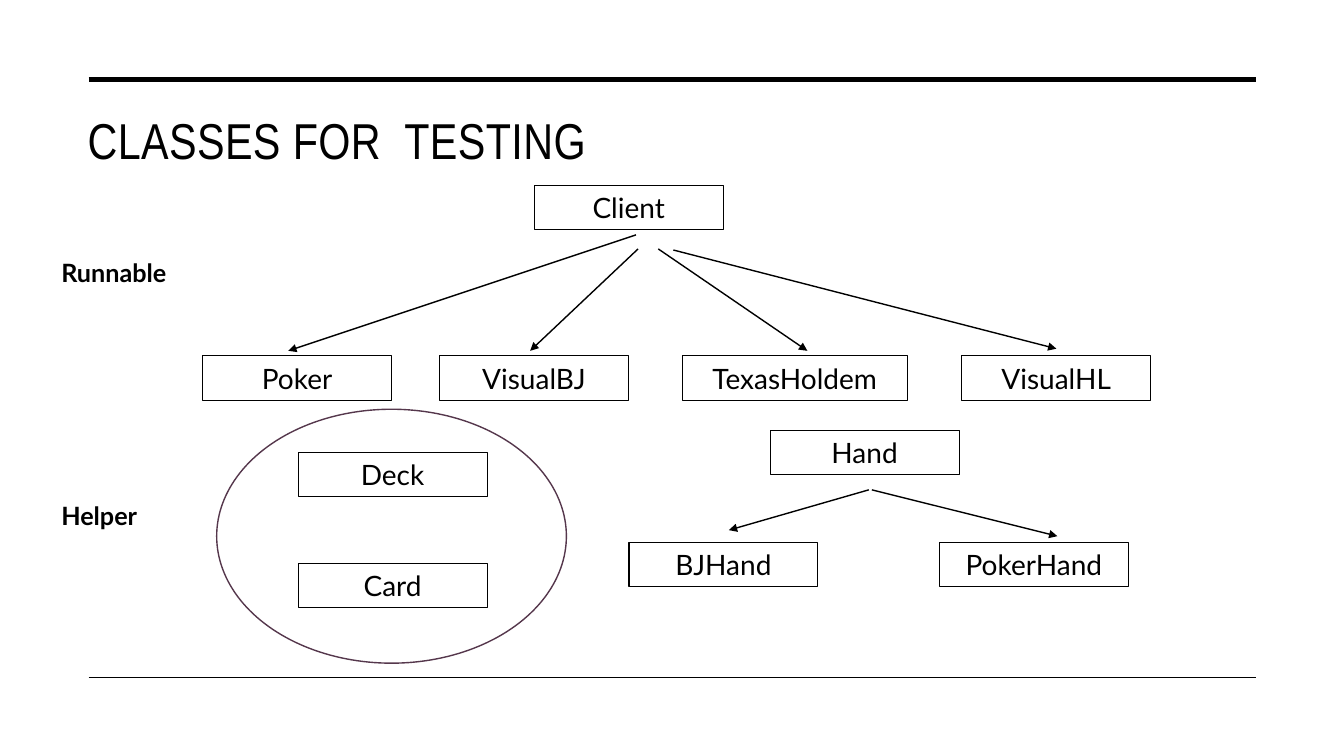
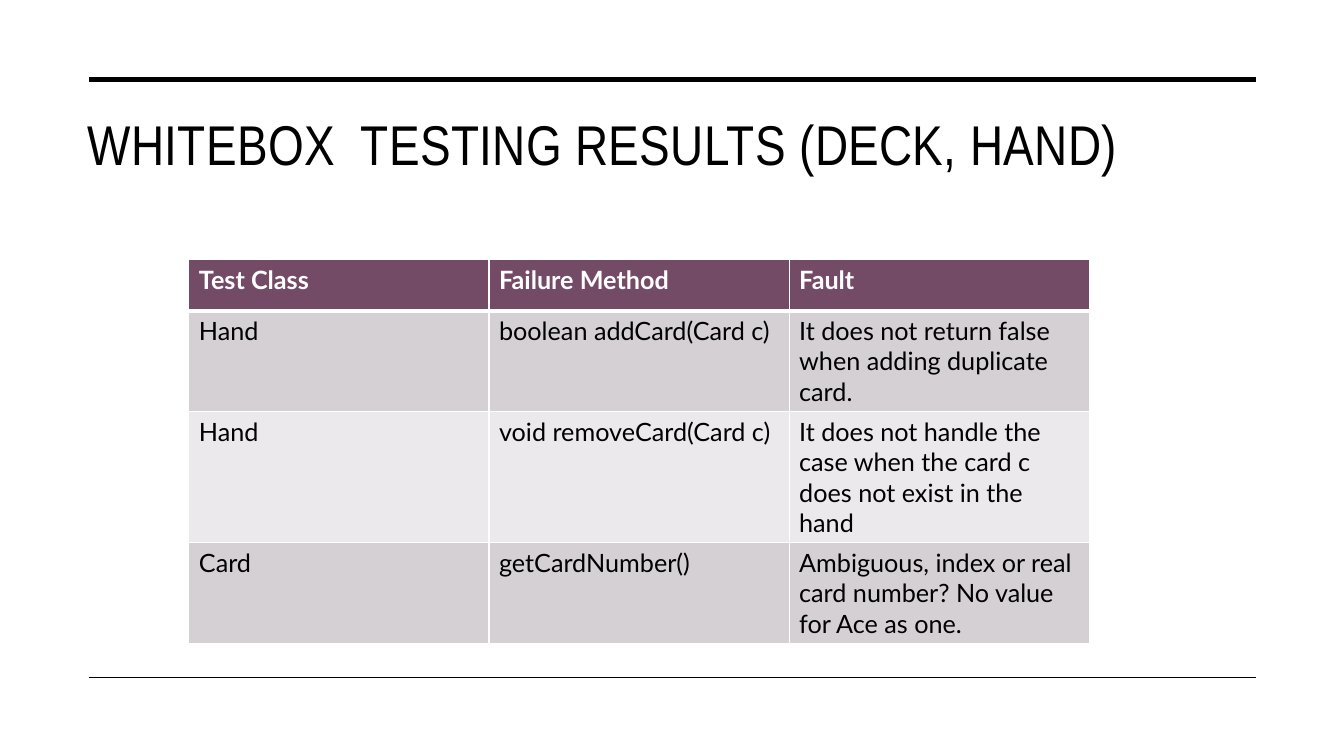
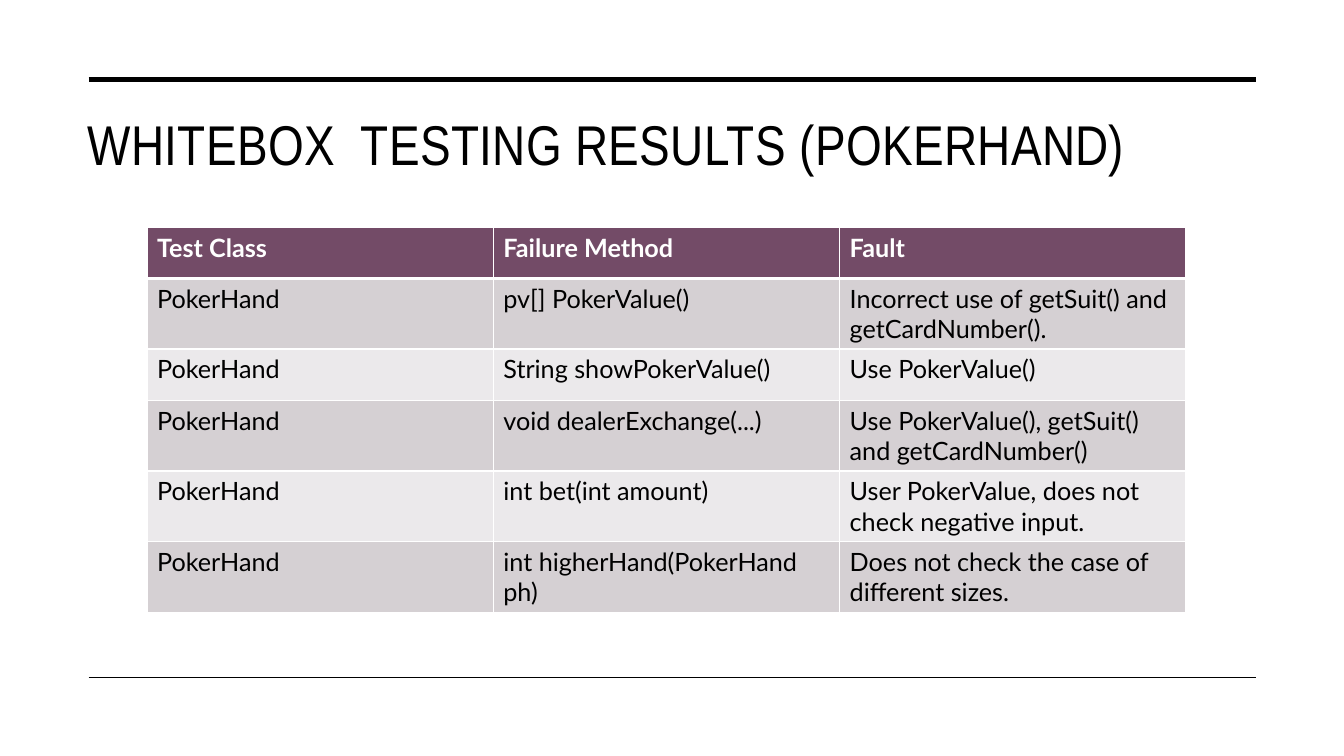
"""Build three slides on the classes under test and the whitebox testing results."""
import pptx
import pptx.dml.color
import pptx.enum.shapes
import pptx.enum.text
import pptx.oxml
import pptx.oxml.ns
import pptx.util

Pt = pptx.util.Pt
colour = pptx.dml.color.RGBColor.from_string
SHAPE = pptx.enum.shapes.MSO_SHAPE
ANCHOR = pptx.enum.text.MSO_ANCHOR
ALIGN = pptx.enum.text.PP_ALIGN
NS = pptx.oxml.ns.nsdecls("a")

BLACK, WHITE = "000000", "FFFFFF"
PLUM, DARK_PLUM = "734B67", "55374C"
BANDS = ["D5D0D3", "EBE9EB"]
TITLE_FRAME = {"vertical_anchor": ANCHOR.TOP, "margin_top": Pt(6), "word_wrap": True}
TITLE_PLACE = {"left": Pt(55.4), "top": Pt(72), "width": Pt(841.7), "height": Pt(103)}
TITLE_FONT = {"name": "Arial Narrow", "bold": False}
CLASS_FONT = {"name": "Lato", "size": Pt(20)}
LABEL_FONT = {"name": "Lato", "size": Pt(18), "bold": True}
CELL_FONT = {"name": "Lato", "size": Pt(18), "bold": False}


def write(frame, text, font, ink=BLACK, align=ALIGN.LEFT):
    paragraph = frame.paragraphs[0]
    paragraph.alignment = align
    run = paragraph.add_run()
    run.text = text
    for attribute, value in font.items():
        setattr(run.font, attribute, value)
    run.font.color.rgb = colour(ink)
    return run


def draw_line(slide, start, end, weight, arrow=False):
    line = slide.shapes.add_connector(
        pptx.enum.shapes.MSO_CONNECTOR.STRAIGHT, *[Pt(value) for value in start + end])
    line.line.color.rgb = colour(BLACK)
    line.line.width = Pt(weight)
    if arrow:
        line.line._get_or_add_ln().append(
            pptx.oxml.parse_xml(f'<a:tailEnd {NS} type="triangle"/>'))
    line._element.spPr.append(pptx.oxml.parse_xml(f"<a:effectLst {NS}/>"))
    return line


deck = pptx.Presentation()
deck.slide_width, deck.slide_height = Pt(960), Pt(540)
title_only = deck.slide_layouts[5]

slides = []
for title, size in [
    ("CLASSES FOR  TESTING", 36),
    ("WHITEBOX  TESTING RESULTS (DECK, HAND)", 40),
    ("WHITEBOX  TESTING RESULTS (POKERHAND)", 40),
]:
    slide = deck.slides.add_slide(title_only)
    heading = slide.shapes.title
    for attribute, value in TITLE_PLACE.items():
        setattr(heading, attribute, value)
    for attribute, value in TITLE_FRAME.items():
        setattr(heading.text_frame, attribute, value)
    run = write(heading.text_frame, title, TITLE_FONT | {"size": Pt(size)})
    run.font._element.set("spc", "30")
    slides.append(slide)
class_slide, *result_slides = slides

for number, (y, weight) in enumerate([(56.9, 3.5), (483.8, 1)]):
    rule = draw_line(class_slide, (63.4, y), (897.1, y), weight)
    rule._element.nvCxnSpPr.cNvPr.set("id", str(100 + number))
    title_only.shapes.element.append(rule._element)

BOX_WIDTH, BOX_HEIGHT = 135, 31.7
for name, left, top, width in [
    ("Client", 381.6, 132.5, BOX_WIDTH),
    ("Poker", 144.7, 254.2, BOX_WIDTH),
    ("VisualBJ", 313.9, 254.2, BOX_WIDTH),
    ("TexasHoldem", 487.4, 254.2, 160.6),
    ("VisualHL", 686.9, 254.2, BOX_WIDTH),
    ("Deck", 212.9, 323.3, BOX_WIDTH),
    ("Card", 212.9, 402.5, BOX_WIDTH),
    ("Hand", 550.1, 307.4, BOX_WIDTH),
    ("BJHand", 449.3, 387.4, BOX_WIDTH),
    ("PokerHand", 671, 387.4, BOX_WIDTH),
]:
    class_box = class_slide.shapes.add_shape(
        SHAPE.RECTANGLE, Pt(left), Pt(top), Pt(width), Pt(BOX_HEIGHT))
    class_box.shadow.inherit = False
    class_box.fill.background()
    class_box.line.color.rgb = colour(BLACK)
    class_box.line.width = Pt(0.75)
    class_box.text_frame.vertical_anchor = ANCHOR.MIDDLE
    write(class_box.text_frame, name, CLASS_FONT, align=ALIGN.CENTER)

card_group = class_slide.shapes.add_shape(
    SHAPE.OVAL, Pt(154.8), Pt(292.3), Pt(249.8), Pt(181.4))
card_group.shadow.inherit = False
card_group.fill.background()
card_group.line.color.rgb = colour(DARK_PLUM)
card_group.line.width = Pt(1)

for start, end in [
    ((454.3, 167.8), (205.9, 250.6)),
    ((455.8, 177.8), (378.7, 250.6)),
    ((470.2, 177.8), (576.7, 250.6)),
    ((481, 178.6), (754.6, 249.1)),
    ((620.6, 349.9), (520.6, 378.7)),
    ((622.8, 349.9), (755.3, 383)),
]:
    draw_line(class_slide, start, end, 1, arrow=True)

for role, top in [("Runnable", 180), ("Helper", 353.5)]:
    label = class_slide.shapes.add_textbox(Pt(36.7), Pt(top), Pt(216), Pt(28.8))
    label.text_frame.word_wrap = True
    write(label.text_frame, role, LABEL_FONT)

HEADER = ("Test Class", "Failure Method", "Fault")
ROW_HEIGHT = 36.7
deck_and_hand_faults = [
    ("Hand", "boolean addCard(Card c)", "It does not return false when adding duplicate card."),
    ("Hand", "void removeCard(Card c)",
     "It does not handle the case when the card c does not exist in the hand"),
    ("Card", "getCardNumber()",
     "Ambiguous, index or real card number? No value for Ace as one."),
]
poker_hand_faults = [
    ("PokerHand", "pv[] PokerValue()", "Incorrect use of getSuit() and getCardNumber()."),
    ("PokerHand", "String showPokerValue()", "Use PokerValue()"),
    ("PokerHand", "void dealerExchange(...)", "Use PokerValue(), getSuit() and getCardNumber()"),
    ("PokerHand", "int bet(int amount)", "User PokerValue, does not check negative input."),
    ("PokerHand", "int higherHand(PokerHand ph)", "Does not check the case of different sizes."),
]
for slide, faults, left, top, column_width in [
    (result_slides[0], deck_and_hand_faults, 134.9, 185.3, 214.4),
    (result_slides[1], poker_hand_faults, 105, 162.2, 247.4),
]:
    rows = [HEADER] + faults
    results = slide.shapes.add_table(
        len(rows), len(HEADER), Pt(left), Pt(top),
        Pt(column_width * len(HEADER)), Pt(ROW_HEIGHT * len(rows))).table
    for column in results.columns:
        column.width = Pt(column_width)
    for row_number, row in enumerate(rows):
        results.rows[row_number].height = Pt(ROW_HEIGHT)
        is_header = row_number == 0
        borders = {"lnL": 1, "lnR": 1,
                   "lnT": 3 if row_number == 1 else 1, "lnB": 3 if is_header else 1}
        for column_number, text in enumerate(row):
            cell = results.cell(row_number, column_number)
            cell.fill.solid()
            cell.fill.fore_color.rgb = colour(PLUM if is_header else BANDS[(row_number - 1) % 2])
            write(cell.text_frame, text, CELL_FONT | {"bold": is_header},
                  WHITE if is_header else BLACK)
            properties = cell._tc.get_or_add_tcPr()
            for position, (side, weight) in enumerate(borders.items()):
                properties.insert(position, pptx.oxml.parse_xml(
                    f'<a:{side} {NS} w="{Pt(weight)}"><a:solidFill>'
                    f'<a:srgbClr val="{WHITE}"/></a:solidFill></a:{side}>'))

deck.save("out.pptx")
